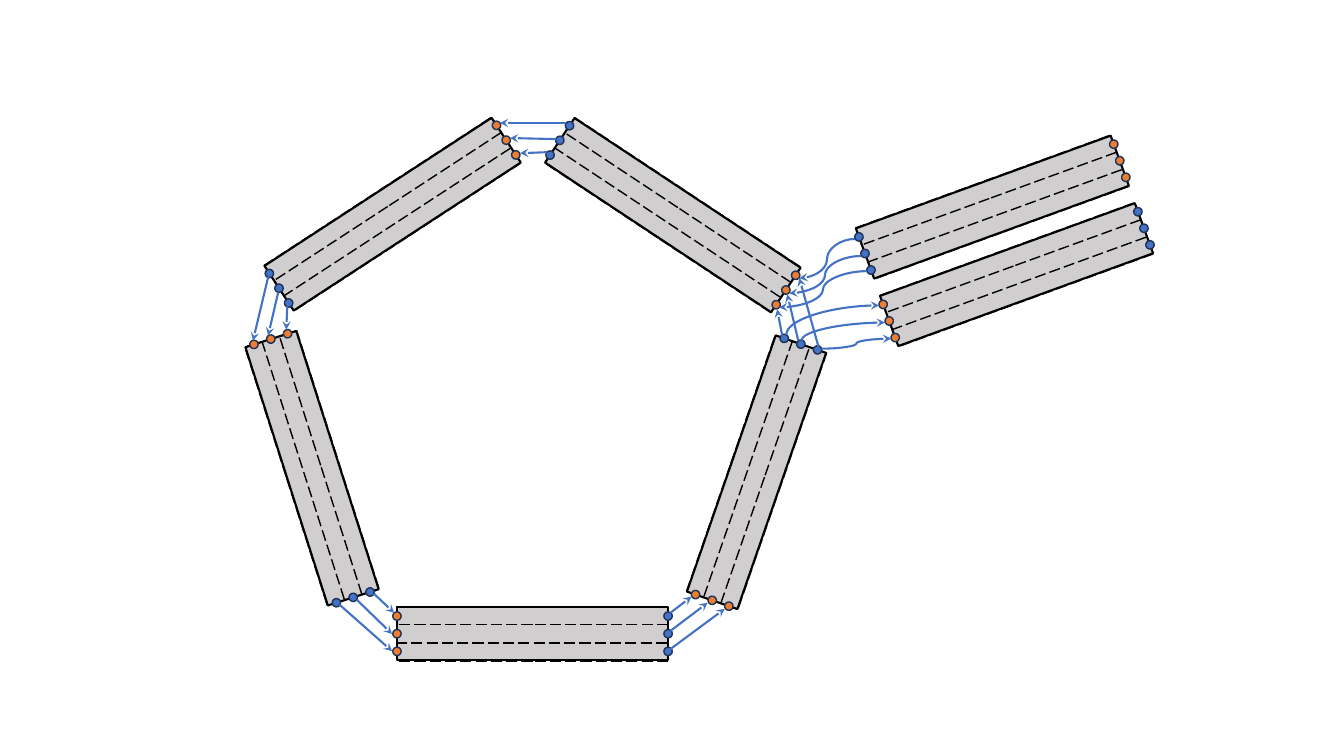
from math import cos, radians, sin

from lxml import etree
from pptx import Presentation
from pptx import util as u
from pptx.dml.color import RGBColor
from pptx.enum import dml, shapes
from pptx.oxml.ns import qn

GREY, BLUE, ORANGE, NAVY, BLACK = "D0CECE", "4472C4", "ED7D31", "1E3256", "000000"
LONG, WIDE, LANE, DOT = 26.9, 5.3, 1.8, 0.84


def color(code):
    return RGBColor.from_string(code)


class Board:
    cell = 0.1
    cols, rows = 133.33, 75

    def __init__(self):
        self.deck = Presentation()
        self.deck.slide_width = self.size(self.cols)
        self.deck.slide_height = self.size(self.rows)
        self.slide = self.deck.slides.add_slide(self.deck.slide_layouts[6])

    def size(self, cells):
        return u.Inches(cells * self.cell)

    def shape(self, group, kind, mid, width, height, turn, fill, line, weight):
        left, top = mid[0] - width / 2, mid[1] - height / 2
        item = group.shapes.add_shape(kind, *map(self.size, (left, top, width, height)))
        item.rotation = turn
        item.shadow.inherit = False
        if fill:
            item.fill.solid()
            item.fill.fore_color.rgb = color(fill)
        else:
            item.fill.background()
        item.line.color.rgb = color(line)
        item.line.width = u.Pt(weight)
        return item

    def road(self, group, mid, turn, left, right):
        angle = radians(turn)

        def place(along, across):
            return (mid[0] + along * cos(angle) - across * sin(angle),
                    mid[1] + along * sin(angle) + across * cos(angle))

        rect, oval = shapes.MSO_SHAPE.RECTANGLE, shapes.MSO_SHAPE.OVAL
        self.shape(group, rect, mid, LONG, WIDE, turn, GREY, BLACK, 1.5)
        for side in (-LANE, LANE):
            lane = self.shape(group, rect, place(0, side), LONG, LANE, turn, None, BLACK, 1)
            lane.line.dash_style = dml.MSO_LINE.LONG_DASH
        for end, fill in ((-LONG / 2, left), (LONG / 2, right)):
            for side in (-1.75, 0, 1.75):
                self.shape(group, oval, place(end, side), DOT, DOT, turn, fill, NAVY, 1)

    def arrow(self, kind, start, stop):
        link = self.slide.shapes.add_connector(kind, *map(self.size, (*start, *stop)))
        link.line.color.rgb = color(BLUE)
        link.line.width = u.Pt(1.5)
        props = link.element.spPr
        etree.SubElement(props.find(qn("a:ln")), qn("a:tailEnd"), type="stealth")
        etree.SubElement(props, qn("a:effectLst"))
        return link

    def line(self, start, stop):
        self.arrow(shapes.MSO_CONNECTOR.STRAIGHT, start, stop)

    def curve(self, start, stop):
        self.arrow(shapes.MSO_CONNECTOR.CURVE, start, stop)

    def bend(self, start, stop):
        x, y = (start[0] + stop[0]) / 2, (start[1] + stop[1]) / 2
        dx, dy = abs(stop[1] - start[1]) / 2, abs(stop[0] - start[0]) / 2
        link = self.arrow(shapes.MSO_CONNECTOR.CURVE, (x + dx, y + dy), (x - dx, y - dy))
        props = link.element.spPr
        props.find(qn("a:xfrm")).set("rot", "5400000")
        props.find(qn("a:prstGeom")).set("prst", "curvedConnector2")


ROADS = [
    [((52.83, 62.87), 0, ORANGE, BLUE)],
    [((38.95, 21.25), 326.9, BLUE, ORANGE)],
    [((30.95, 46.45), 72.3, ORANGE, BLUE)],
    [((75.05, 46.85), 109.1, BLUE, ORANGE)],
    [((66.75, 21.35), 33.5, BLUE, ORANGE)],
    [((98.45, 20.55), 340, BLUE, ORANGE), ((100.85, 27.25), 340, ORANGE, BLUE)],
]
LINES = [
    ((77.6, 33.3), (77.1, 30.7)), ((79.2, 33.8), (78.1, 29.2)), ((81.2, 34.4), (79.3, 27.6)),
    ((66.5, 60.8), (68.6, 59.2)), ((66.5, 62.6), (70.2, 59.8)), ((66.5, 64.4), (71.9, 60.4)),
    ((54.3, 15.1), (51.6, 15.2)), ((55.2, 13.8), (50.6, 13.7)), ((56.2, 12.2), (49.6, 12.2)),
    ((26.6, 27.5), (25.1, 33.8)), ((27.6, 29), (26.6, 33.3)), ((28.5, 30.4), (28.4, 32.7)),
    ((37.1, 58.9), (39.1, 60.8)), ((35.4, 59.5), (38.9, 62.9)), ((33.7, 60), (38.9, 64.6)),
]
BENDS = [((78, 33.2), (87.2, 30.3)), ((79.5, 33.8), (87.8, 32))]
CURVES = [
    ((81.5, 34.6), (88.4, 33.6)), ((86, 26.9), (77.3, 30.5)),
    ((85.4, 25.4), (78.3, 29.1)), ((84.8, 23.7), (79.3, 27.6)),
]


def main():
    board = Board()
    for roads in ROADS:
        group = board.slide.shapes.add_group_shape()
        for road in roads:
            board.road(group, *road)
    for draw, links in ((board.line, LINES), (board.bend, BENDS), (board.curve, CURVES)):
        for start, stop in links:
            draw(start, stop)
    board.deck.save("out.pptx")


if __name__ == "__main__":
    main()
